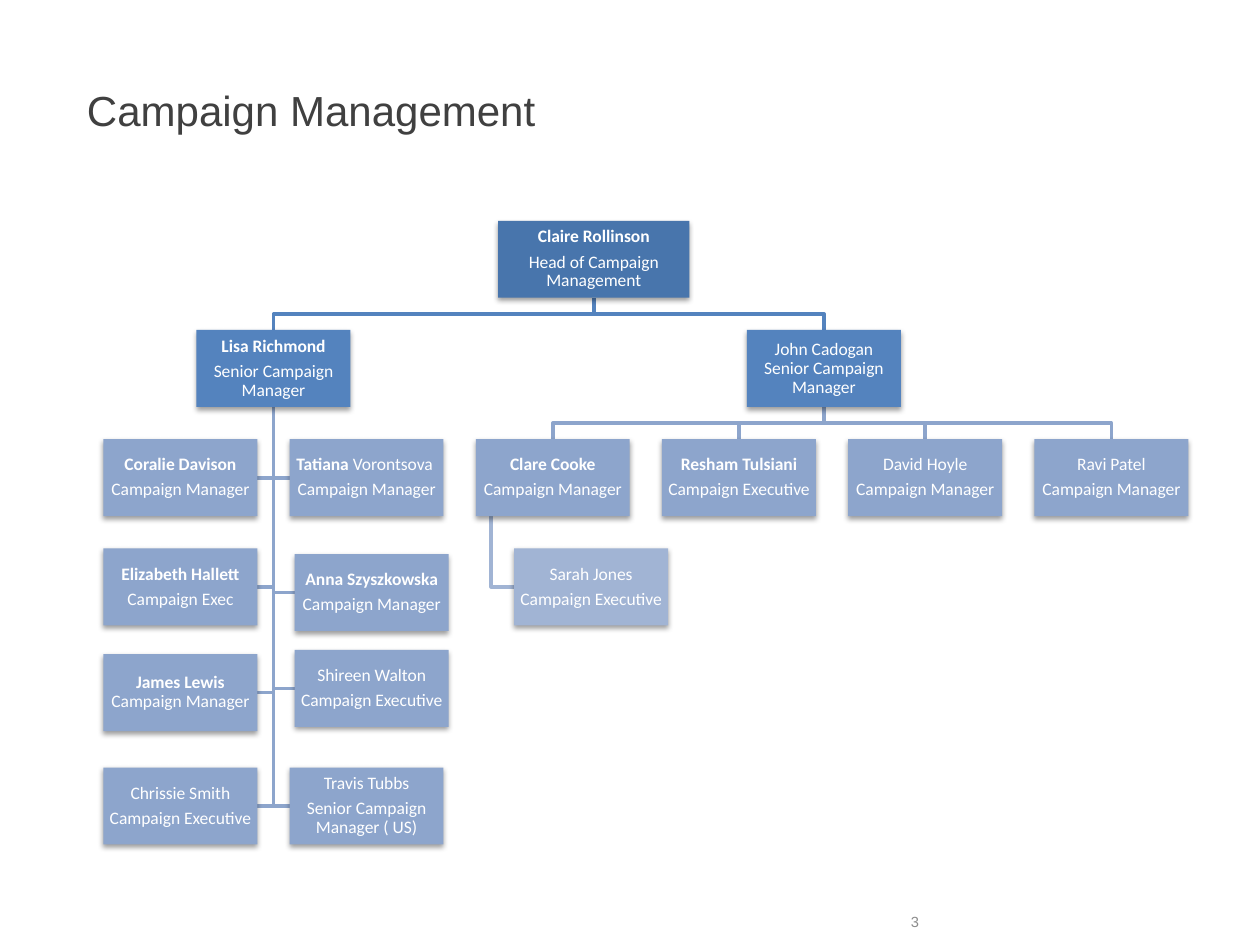
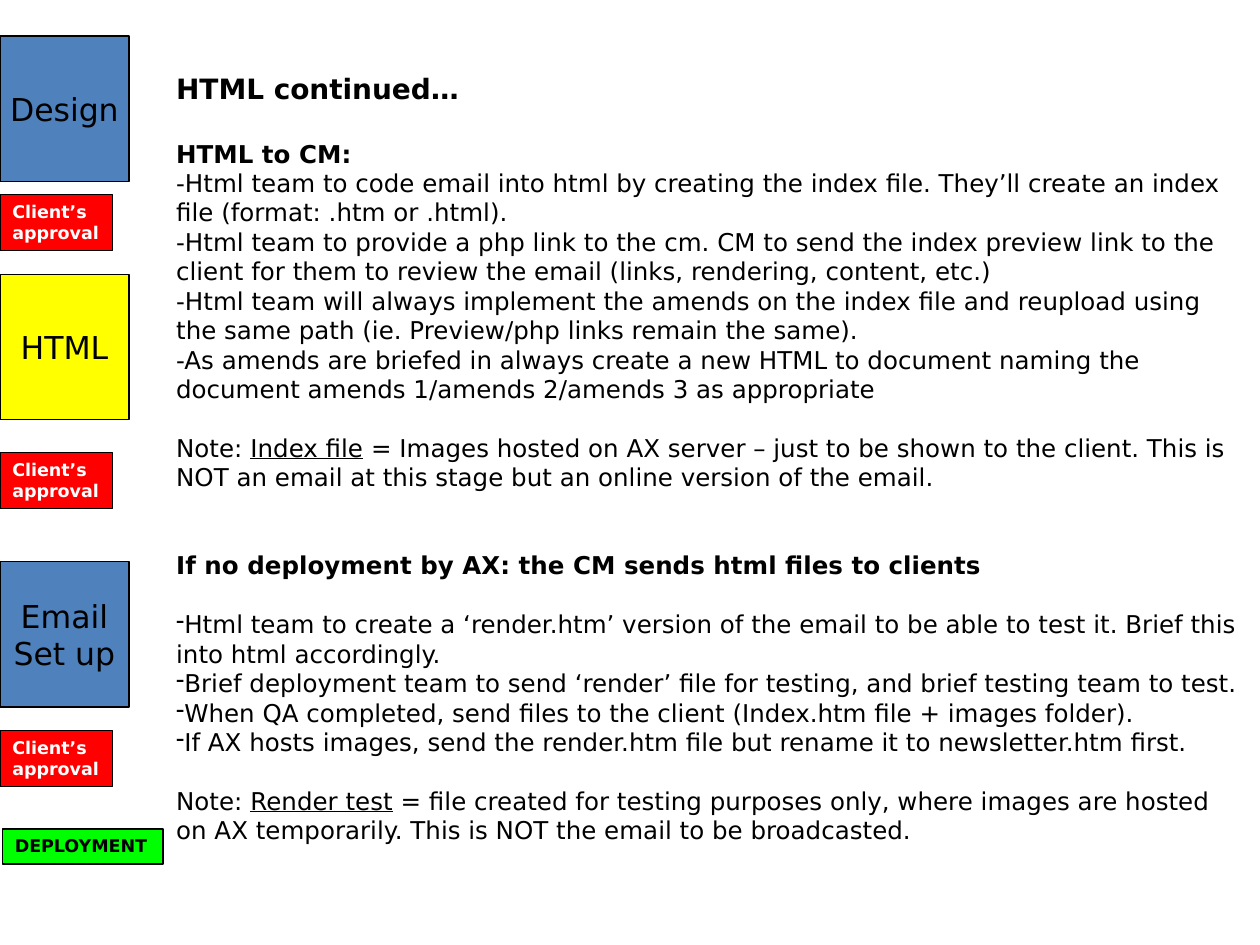
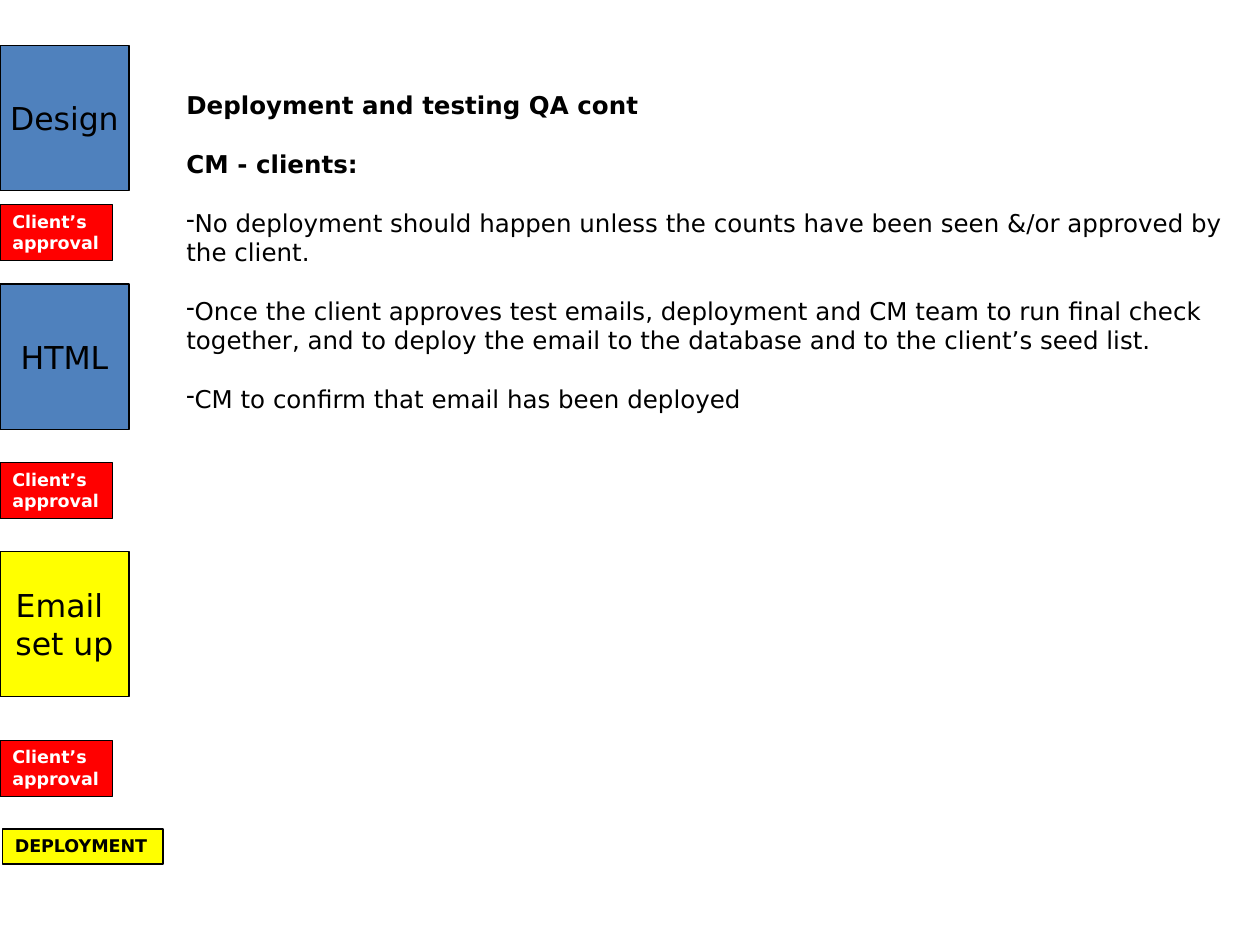
from lxml import etree
from pptx import Presentation
from pptx.dml.color import RGBColor
from pptx.enum.shapes import MSO_SHAPE
from pptx.enum.text import MSO_ANCHOR, MSO_AUTO_SIZE, PP_ALIGN
from pptx.oxml import parse_xml
from pptx.oxml.ns import qn
from pptx.util import Pt

RECT = MSO_SHAPE.RECTANGLE
LEFT, CENTER = PP_ALIGN.LEFT, PP_ALIGN.CENTER
TOP, MIDDLE = MSO_ANCHOR.TOP, MSO_ANCHOR.MIDDLE
GROW = MSO_AUTO_SIZE.SHAPE_TO_FIT_TEXT

BLACK, WHITE = "000000", "FFFFFF"
BLUE, YELLOW, RED, GREEN = "4F81BD", "FFFF00", "FF0000", "00FF00"
LEVELS = ["4875AC", "5483BE", "8DA5CC", "A1B4D4"]
SANS = "DejaVu Sans"
SHADOW = (
    '<a:effectLst xmlns:a="http://schemas.openxmlformats.org/drawingml/2006/main">'
    '<a:outerShdw blurRad="39400" dist="20300" dir="5400000" rotWithShape="0">'
    '<a:srgbClr val="000000"><a:alpha val="38000"/></a:srgbClr>'
    '</a:outerShdw></a:effectLst>')


def rgb(code):
    """Turn a hex string into a colour."""
    return RGBColor.from_string(code)


def box(slide, x, y, w, h, fill, edge=None, lines=(), size=10, ink=BLACK,
        bold=False, align=LEFT):
    """Draw a flat rectangle, with one paragraph for each given line."""
    shape = slide.shapes.add_shape(RECT, Pt(x), Pt(y), Pt(w), Pt(h))
    shape.shadow.inherit = False
    shape.fill.solid()
    shape.fill.fore_color.rgb = rgb(fill)
    if edge:
        shape.line.color.rgb = rgb(edge)
        shape.line.width = Pt(0.75)
    else:
        shape.line.fill.background()
    frame = shape.text_frame
    frame.word_wrap = not lines
    for i, line in enumerate(lines):
        para = frame.add_paragraph() if i else frame.paragraphs[0]
        para.text = line
        para.alignment = align
        para.font.name = SANS
        para.font.size = Pt(size)
        para.font.bold = bold
        para.font.color.rgb = rgb(ink)
    return shape


deck = Presentation()
deck.slide_width, deck.slide_height = Pt(720), Pt(540)

# Slide 1: organisation chart
slide = deck.slides.add_slide(deck.slide_layouts[5])
title = slide.shapes.title
title.left, title.top, title.width, title.height = Pt(42.5), Pt(37.4), Pt(636), Pt(51)
title.text_frame.vertical_anchor = MIDDLE
para = title.text_frame.paragraphs[0]
para.text = "Campaign Management"
para.alignment = LEFT
para.font.name = "Arial"
para.font.size = Pt(24)
para.font.color.rgb = rgb("404040")

WIDE, HIGH = 88, 44
COLS = [59.1 + 106.4 * i for i in range(6)]
ROWS = [126.2 + 62.4 * i for i in range(4)]
INNER = 168.4
LAST = 438.6
MANAGER, EXEC, SENIOR = "Campaign Manager", "Campaign Executive", "Senior Campaign Manager"

# key, boss, left, top, level, bold name, plain name, role, gap under the name
STAFF = [
    ("head", None, 284.6, ROWS[0], 0, "Claire Rollinson", "", "Head of Campaign Management", 3.5),
    ("lisa", "head", 112.3, ROWS[1], 1, "Lisa Richmond", "", SENIOR, 3.5),
    ("john", "head", 426.8, ROWS[1], 1, "", "John Cadogan", SENIOR, 0),
    ("coralie", "lisa", COLS[0], ROWS[2], 2, "Coralie Davison", "", MANAGER, 3.5),
    ("tatiana", "lisa", COLS[1], ROWS[2], 2, "Tatiana ", "Vorontsova ", MANAGER, 3.5),
    ("beth", "lisa", COLS[0], ROWS[3], 2, "Elizabeth Hallett", "", "Campaign Exec", 3.5),
    ("anna", "lisa", INNER, 316.6, 2, "Anna Szyszkowska", "", MANAGER, 3.5),
    ("shireen", "lisa", INNER, 371.4, 2, "", "Shireen Walton", EXEC, 3.5),
    ("james", "lisa", COLS[0], 373.8, 2, "James Lewis", "", MANAGER, 0),
    ("chrissie", "lisa", COLS[0], LAST, 2, "", "Chrissie Smith", EXEC, 3.5),
    ("travis", "lisa", COLS[1], LAST, 2, "", "Travis Tubbs", SENIOR + " ( US)", 3.5),
    ("clare", "john", COLS[2], ROWS[2], 2, "Clare Cooke", "", MANAGER, 3.5),
    ("resham", "john", COLS[3], ROWS[2], 2, "Resham Tulsiani", "", EXEC, 3.5),
    ("david", "john", COLS[4], ROWS[2], 2, "", "David Hoyle", MANAGER, 3.5),
    ("ravi", "john", COLS[5], ROWS[2], 2, "", "Ravi Patel", MANAGER, 3.5),
    ("sarah", "clare", 293.8, ROWS[3], 3, "", "Sarah Jones", EXEC, 3.5),
]
places = {key: (x, y, 109.4 if key == "head" else WIDE)
          for key, boss, x, y, *rest in STAFF}

for key, boss, x, y, level, *rest in STAFF:
    if not boss:
        continue
    left, top, width = places[boss]
    start, base = left + width / 2, top + HIGH
    if boss in ("head", "john"):
        bend, end = (base + y) / 2, x + WIDE / 2
        points = [(start, bend), (end, bend), (end, y)]
    else:
        if boss == "clare":
            start = left + 8.8
        mid = y + HIGH / 2
        points = [(start, mid), (x if x > start - WIDE / 2 else x + WIDE, mid)]
    path = slide.shapes.build_freeform(Pt(start), Pt(base))
    path.add_line_segments([(Pt(a), Pt(b)) for a, b in points], close=False)
    link = path.convert_to_shape()
    link.shadow.inherit = False
    link.fill.background()
    link.line.color.rgb = rgb(LEVELS[level])
    link.line.width = Pt(2)

for key, boss, x, y, level, strong, plain, role, gap in STAFF:
    card = box(slide, x, y, places[key][2], HIGH, LEVELS[level])
    props = card._element.spPr
    props.replace(props.find(qn("a:effectLst")), parse_xml(SHADOW))
    frame = card.text_frame
    frame.vertical_anchor = MIDDLE
    frame.margin_left = frame.margin_right = Pt(0.5)
    frame.margin_top = frame.margin_bottom = Pt(0.5)
    name, job = frame.paragraphs[0], frame.add_paragraph()
    for text, bold in ((strong, True), (plain, False)):
        if text:
            run = name.add_run()
            run.text = text
            run.font.bold = bold
    name.space_after = Pt(gap)
    job.text = role
    for para in (name, job):
        para.alignment = CENTER
        para.line_spacing = 0.9
        para.font.name = "Calibri"
        para.font.size = Pt(10)
        para.font.color.rgb = rgb(WHITE)

note = slide.shapes.add_textbox(Pt(513.4), Pt(519.1), Pt(168), Pt(15.1))
note.text_frame.word_wrap = True
note.text_frame.vertical_anchor = MIDDLE
para = note.text_frame.paragraphs[0]
para.text = "3"
para.font.name = "Arial"
para.font.size = Pt(8.4)
para.font.color.rgb = rgb("8C8C8C")

# Slides 2 and 3: process steps beside a text panel
ROW = 16.8  # height of one 14 pt line
# text (underlined between bars), size, gap before, bold, dash bullet
CODING = [
    ("HTML continued…", 16, 0, True, False),
    ("HTML to CM:", 14, 19.1, True, False),
    ("-Html team to code email into html by creating the index file. They’ll create "
     "an index file (format: .htm or .html).", 14, 0, False, False),
    ("-Html team to provide a php link to the cm. CM to send the index preview link to "
     "the client for them to review the email (links, rendering, content, etc.)",
     14, 0, False, False),
    ("-Html team will always implement the amends on the index file and reupload using "
     "the same path (ie. Preview/php links remain the same).", 14, 0, False, False),
    ("-As amends are briefed in always create a new HTML to document naming the "
     "document amends 1/amends 2/amends 3 as appropriate", 14, 0, False, False),
    ("Note: |Index file| = Images hosted on AX server – just to be shown to the client. "
     "This is NOT an email at this stage but an online version of the email.",
     14, ROW, False, False),
    ("If no deployment by AX: the CM sends html files to clients", 14, 2 * ROW, True, False),
    ("Html team to create a ‘render.htm’ version of the email to be able to test it. "
     "Brief this into html accordingly.", 14, ROW, False, True),
    ("Brief deployment team to send ‘render’ file for testing, and brief testing team "
     "to test.", 14, 0, False, True),
    ("When QA completed, send files to the client (Index.htm file + images folder).",
     14, 0, False, True),
    ("If AX hosts images, send the render.htm file but rename it to newsletter.htm first.",
     14, 0, False, True),
    ("Note: |Render test| = file created for testing purposes only, where images are "
     "hosted on AX temporarily. This is NOT the email to be broadcasted.",
     14, ROW, False, False),
]
TESTING = [
    ("Deployment and testing QA cont", 14, 0, True, False),
    ("CM - clients:", 14, ROW, True, False),
    ("No deployment should happen unless the counts have been seen &/or approved by "
     "the client.", 14, ROW, False, True),
    ("Once the client approves test emails, deployment and CM team to run final check "
     "together, and to deploy the email to the database and to the client’s seed list.",
     14, ROW, False, True),
    ("CM to confirm that email has been deployed", 14, ROW, False, True),
]
# panel left, top, height, top inset, text, steps, active step, shift, last fill
PAGES = [
    (93.6, 37.4, 453, 3.6, CODING,
     [(20.6, ["Design"]), (156.7, ["HTML"]), (321, ["Email", "Set up"])], 1, 0, GREEN),
    (99.4, 20.2, 239, 31.3, TESTING,
     [(26.1, ["Design"]), (162.3, ["HTML"]), (315.2, ["Email ", "set up"])], 2, 5.6, YELLOW),
]

for left, top, high, inset, items, steps, active, shift, final in PAGES:
    slide = deck.slides.add_slide(deck.slide_layouts[6])
    panel = box(slide, left, top, 720 - left, high, WHITE)
    frame = panel.text_frame
    frame.vertical_anchor = TOP
    frame.margin_top = Pt(inset)
    for i, (text, size, gap, bold, dash) in enumerate(items):
        para = frame.add_paragraph() if i else frame.paragraphs[0]
        para.alignment = LEFT
        para.space_before = Pt(gap)
        if dash:
            props = para._p.get_or_add_pPr()
            props.set("marL", "0")
            props.set("indent", "0")
            etree.SubElement(props, qn("a:buChar")).set("char", "-")
        for j, part in enumerate(text.split("|")):
            run = para.add_run()
            run.text = part
            if j % 2:
                run.font.underline = True
        para.font.name = SANS
        para.font.size = Pt(size)
        para.font.bold = bold
        para.font.color.rgb = rgb(BLACK)

    for i, (y, words) in enumerate(steps):
        fill = YELLOW if i == active else BLUE
        step = box(slide, 0, y, 73.7, 83, fill, BLACK, words, 18, align=CENTER)
        step.text_frame.vertical_anchor = MIDDLE
    tags = [box(slide, 0, y + shift, 64.2, 32, RED, BLACK, ["Client’s ", "approval"],
                ink=WHITE, bold=True) for y in (111.2, 258.6, 417.4)]
    tags.append(box(slide, 1.4, 473.8, 91.8, 20, final, BLACK, ["DEPLOYMENT"], bold=True))
    for tag in tags:
        tag.text_frame.vertical_anchor = TOP
        tag.text_frame.auto_size = GROW

deck.save("out.pptx")
